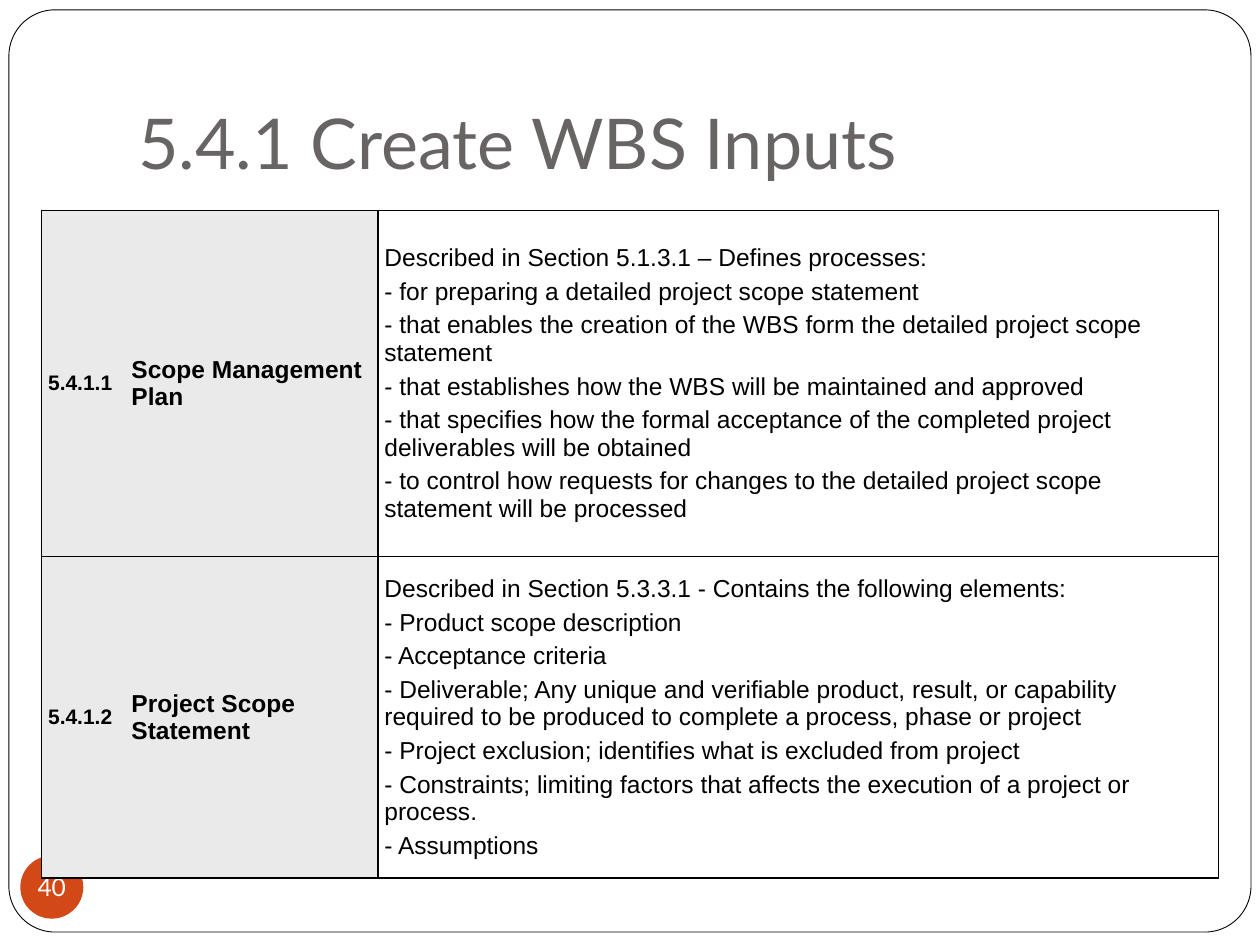
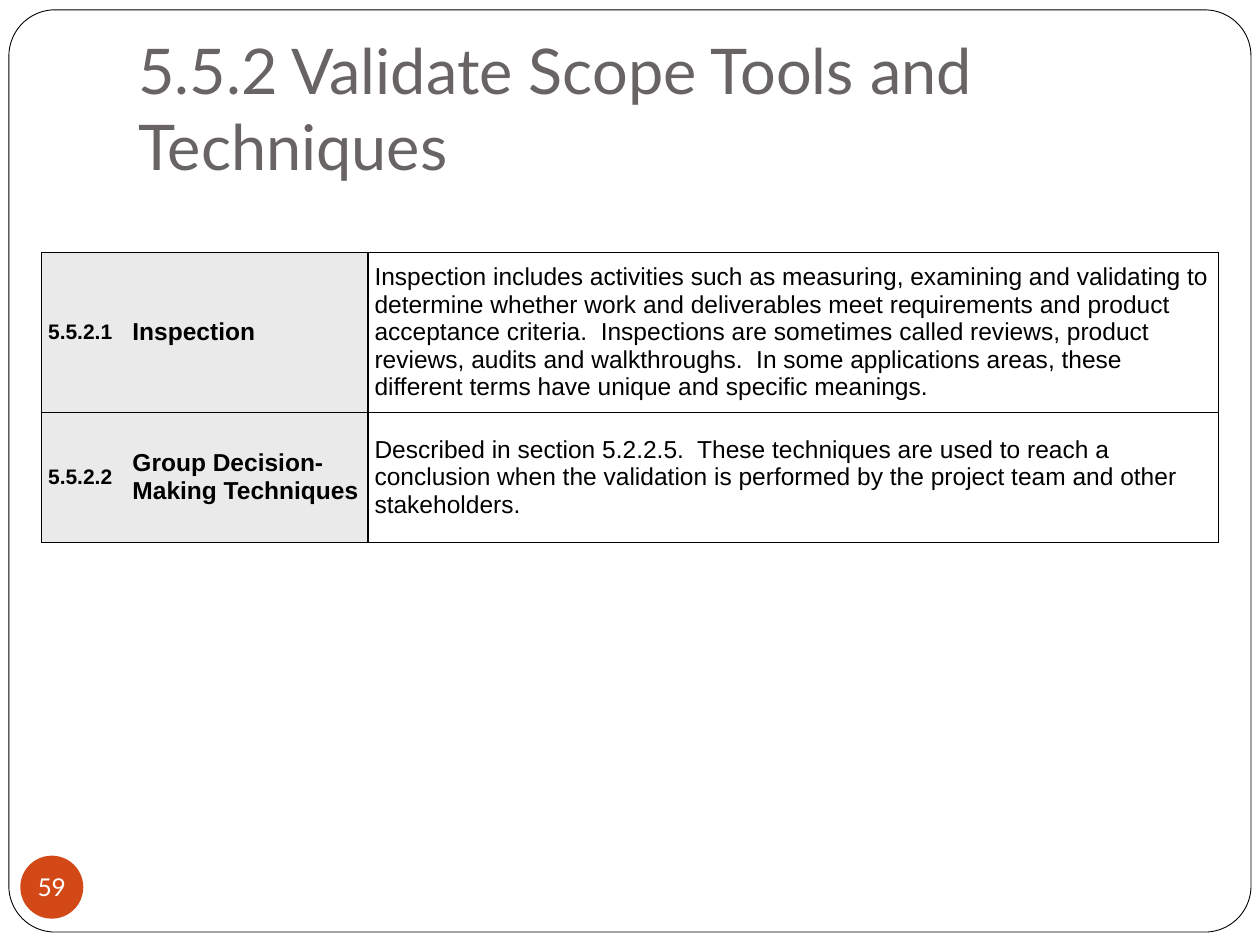
from dataclasses import dataclass

import pptx
import pptx.dml.color
import pptx.enum.shapes
import pptx.enum.text
import pptx.oxml
import pptx.oxml.ns
import pptx.util

Cm = pptx.util.Cm
Pt = pptx.util.Pt
RGBColor = pptx.dml.color.RGBColor
Shape = pptx.enum.shapes.MSO_SHAPE
Anchor = pptx.enum.text.MSO_ANCHOR
Align = pptx.enum.text.PP_ALIGN

BLACK = RGBColor(0x00, 0x00, 0x00)
WHITE = RGBColor(0xFF, 0xFF, 0xFF)
GREY = RGBColor(0x69, 0x64, 0x64)
PALE = RGBColor(0xEA, 0xEA, 0xEA)
RUST = RGBColor(0xD3, 0x48, 0x17)
HEAD_FONT = "Lato"
BODY_FONT = "Arial"
THIN = 0.5
THICK = 1.0


@dataclass
class Topic:
    code: str
    name: str
    notes: list[str]
    height: float


@dataclass
class Page:
    title: str
    size: int
    number: str
    top: float
    widths: list[float]
    rule: float
    topics: list[Topic]


PAGES = [
    Page("5.4.1 Create WBS Inputs", 40, "40", 4.24, [1.68, 5.1, 16.94], THICK, [
        Topic("5.4.1.1", "Scope Management Plan", [
            "Described in Section 5.1.3.1 – Defines processes:",
            "- for preparing a detailed project scope statement",
            "- that enables the creation of the WBS form the detailed project scope statement",
            "- that establishes how the WBS will be maintained and approved",
            "- that specifies how the formal acceptance of the completed project "
            "deliverables will be obtained",
            "- to control how requests for changes to the detailed project scope "
            "statement will be processed",
        ], 6.98),
        Topic("5.4.1.2", "Project Scope Statement", [
            "Described in Section 5.3.3.1 - Contains the following elements:",
            "- Product scope description",
            "- Acceptance criteria",
            "- Deliverable; Any unique and verifiable product, result, or capability "
            "required to be produced to complete a process, phase or project",
            "- Project exclusion; identifies what is excluded from project",
            "- Constraints; limiting factors that affects the execution of a project or process.",
            "- Assumptions",
        ], 6.48),
    ]),
    Page("5.5.2 Validate Scope Tools and Techniques", 36, "59", 5.08,
         [1.7, 4.88, 17.14], THIN, [
        Topic("5.5.2.1", "Inspection", [
            "Inspection includes activities such as measuring, examining and validating "
            "to determine whether work and deliverables meet requirements and product "
            "acceptance criteria.  Inspections are sometimes called reviews, product "
            "reviews, audits and walkthroughs.  In some applications areas, these "
            "different terms have unique and specific meanings.",
        ], 3.23),
        Topic("5.5.2.2", "Group Decision-Making Techniques", [
            "Described in section 5.2.2.5.  These techniques are used to reach a "
            "conclusion when the validation is performed by the project team and other "
            "stakeholders.",
        ], 2.62),
    ]),
]


def add_run(para, text: str, font: str, size: float, color: RGBColor, bold: bool = False) -> None:
    run = para.add_run()
    run.text = text
    run.font.name = font
    run.font.size = Pt(size)
    run.font.color.rgb = color
    run.font.bold = bold


def set_inset(frame, left: float, top: float, right: float, bottom: float) -> None:
    frame.margin_left, frame.margin_top = Cm(left), Cm(top)
    frame.margin_right, frame.margin_bottom = Cm(right), Cm(bottom)


def add_frame(slide) -> None:
    frame = slide.shapes.add_shape(
        Shape.ROUNDED_RECTANGLE, Cm(0.18), Cm(0.2), Cm(25.04), Cm(18.59))
    frame.shadow.inherit = False
    frame.adjustments[0] = 0.05
    frame.fill.solid()
    frame.fill.fore_color.rgb = WHITE
    frame.line.color.rgb = BLACK
    frame.line.width = Pt(THIN)


def add_title(slide, text: str, size: int) -> None:
    frame = slide.shapes.add_textbox(Cm(2.54), Cm(0.76), Cm(21.59), Cm(3.18)).text_frame
    frame.word_wrap = True
    frame.vertical_anchor = Anchor.BOTTOM
    set_inset(frame, 0.25, 0.13, 0.25, 0.25)
    add_run(frame.paragraphs[0], text, HEAD_FONT, size, GREY)


def add_badge(slide, number: str) -> None:
    badge = slide.shapes.add_shape(Shape.OVAL, Cm(0.41), Cm(17.25), Cm(1.27), Cm(1.27))
    badge.shadow.inherit = False
    badge.fill.solid()
    badge.fill.fore_color.rgb = RUST
    badge.line.fill.background()
    frame = badge.text_frame
    frame.word_wrap = False
    frame.vertical_anchor = Anchor.MIDDLE
    set_inset(frame, 0, 0, 0, 0)
    frame.paragraphs[0].alignment = Align.CENTER
    add_run(frame.paragraphs[0], number, HEAD_FONT, 14, WHITE)


def set_edges(cell, edges: dict[str, float]) -> None:
    props = cell._tc.get_or_add_tcPr()
    space = pptx.oxml.ns.nsdecls("a")
    for index, (side, width) in enumerate(edges.items()):
        paint = f'<a:solidFill><a:srgbClr val="{BLACK}"/></a:solidFill>' if width else "<a:noFill/>"
        props.insert(index, pptx.oxml.parse_xml(
            f'<a:ln{side} {space} w="{Pt(width)}">{paint}</a:ln{side}>'))


def fill_cell(cell, lines: list[str], size: int, bold: bool) -> None:
    cell.vertical_anchor = Anchor.MIDDLE
    set_inset(cell, 0.13, 0.13, 0.13, 0.13)
    if bold:
        cell.fill.solid()
        cell.fill.fore_color.rgb = PALE
    else:
        cell.fill.background()
    frame = cell.text_frame
    for index, line in enumerate(lines):
        para = frame.add_paragraph() if index else frame.paragraphs[0]
        if index:
            para.space_before = Pt(size / 4)
        add_run(para, line, BODY_FONT, size, BLACK, bold)


def add_grid(slide, page: Page) -> None:
    tall = sum(topic.height for topic in page.topics)
    grid = slide.shapes.add_table(
        len(page.topics), len(page.widths), Cm(0.84), Cm(page.top),
        Cm(sum(page.widths)), Cm(tall)).table
    grid.first_row = False
    grid.horz_banding = False
    for column, width in zip(grid.columns, page.widths):
        column.width = Cm(width)
    walls = [THIN, 0, THICK, THIN]
    for row, topic in enumerate(page.topics):
        grid.rows[row].height = Cm(topic.height)
        parts = [([topic.code], 12, True), ([topic.name], 14, True), (topic.notes, 14, False)]
        for col, (lines, size, bold) in enumerate(parts):
            cell = grid.cell(row, col)
            fill_cell(cell, lines, size, bold)
            set_edges(cell, {"L": walls[col], "R": walls[col + 1],
                             "T": page.rule if row else THIN, "B": page.rule})


def main() -> None:
    deck = pptx.Presentation()
    deck.slide_width, deck.slide_height = Cm(25.4), Cm(19.05)
    for page in PAGES:
        slide = deck.slides.add_slide(deck.slide_layouts[6])
        add_frame(slide)
        add_title(slide, page.title, page.size)
        add_badge(slide, page.number)
        add_grid(slide, page)
    deck.save("out.pptx")


if __name__ == "__main__":
    main()
